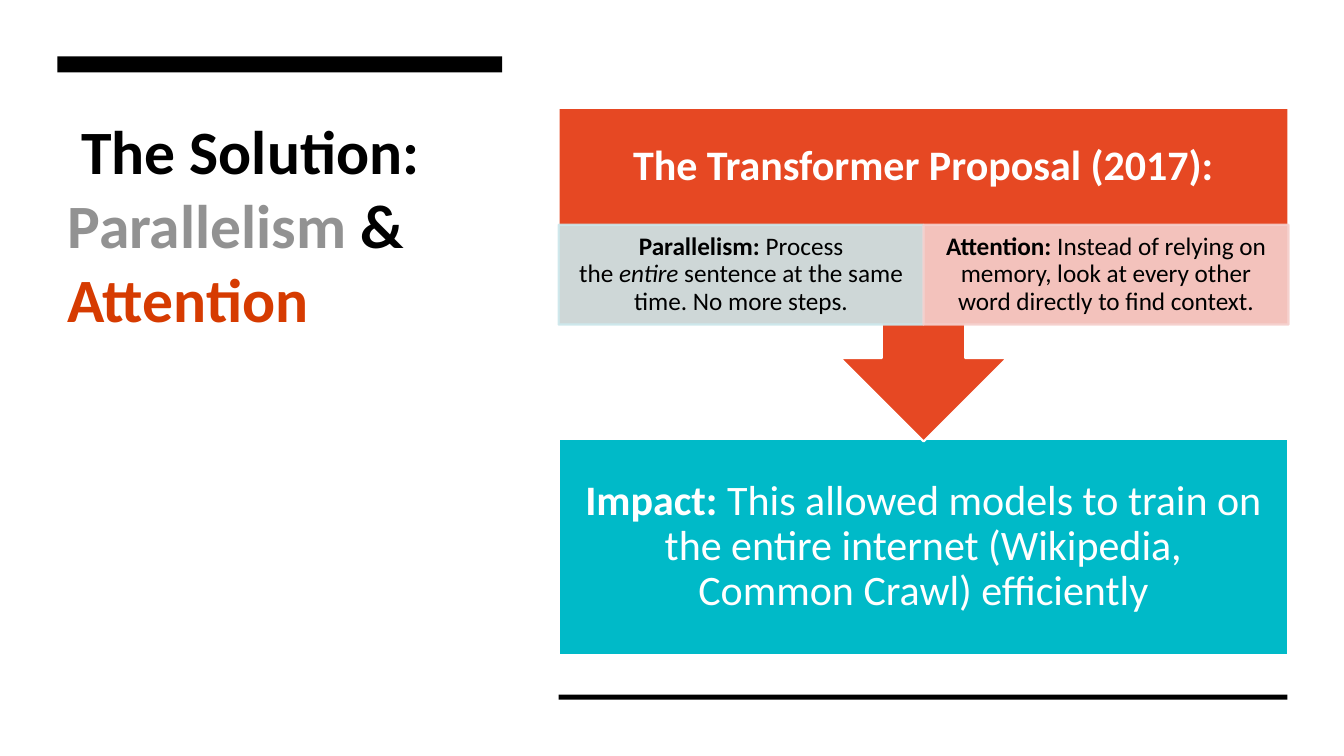
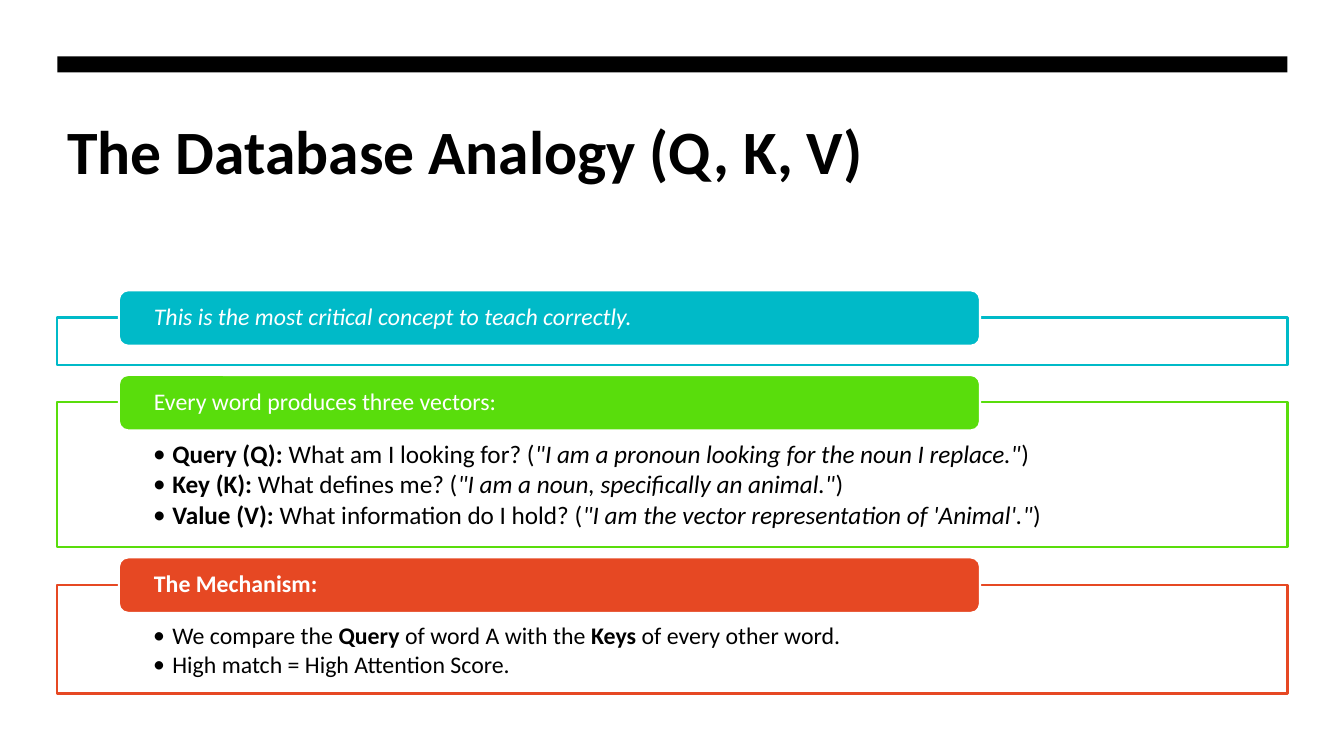
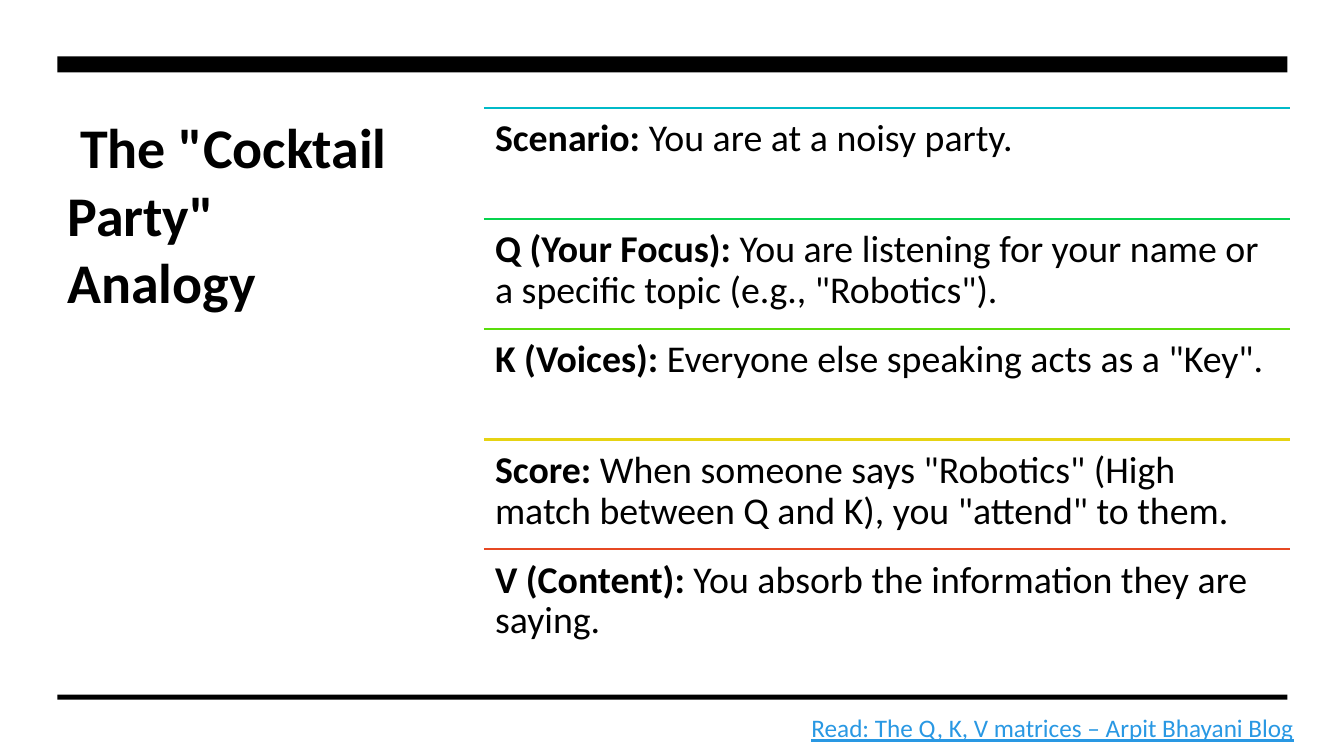
from lxml.etree import SubElement
from pptx import Presentation
from pptx.dml.color import RGBColor
from pptx.enum.shapes import MSO_CONNECTOR, MSO_SHAPE
from pptx.enum.text import MSO_ANCHOR, PP_ALIGN
from pptx.oxml.ns import qn
from pptx.util import Emu, Pt

FONT = "Calibri"
HARD = chr(160)
BLACK, WHITE, GREY, RUST = "000000", "FFFFFF", "929292", "D63B01"
TEAL, MINT, LIME, GOLD, RED = "00BAC8", "06D34D", "59DD0C", "E6D313", "E64823"
ICE, ROSE, BLUE = "CCE7EB", "F5D0CD", "2998E3"
LEFT, WIDE = 57, 1220
PAGE = (1333, 750)


def px(num):
    """Turn px, a hundredth of an inch each, into EMU."""
    return Emu(num * 9144)


def rgb(code):
    """Turn a hex string into a colour."""
    return RGBColor.from_string(code)


def dim(fill):
    """Make a solid fill 90 percent opaque."""
    tone = fill._xPr.find(qn("a:solidFill"))[0]
    SubElement(tone, qn("a:alpha"), val="90000")


def mark(para):
    """Give a paragraph a hanging bullet."""
    props = para._p.get_or_add_pPr()
    props.set("marL", str(px(19)))
    props.set("indent", str(px(-19)))
    SubElement(props, qn("a:buFont"), typeface=FONT)
    SubElement(props, qn("a:buChar"), char="•")


def glue(text):
    """Make the spaces at the ends of a run non-breaking."""
    head = HARD if text.startswith(" ") else ""
    tail = HARD if text.endswith(" ") else ""
    return head + text.strip(" ") + tail


def write(shape, paras, size, tone=BLACK, pad=(10, 5, 10, 5), mid=False,
          align=PP_ALIGN.LEFT, lead=0.9, dots=False, bold=None, tie=True):
    """Fill a shape with paragraphs of plain strings and (text, style) pairs."""
    frame = shape.text_frame
    frame.word_wrap = True
    frame.vertical_anchor = MSO_ANCHOR.MIDDLE if mid else MSO_ANCHOR.TOP
    frame.margin_left, frame.margin_top, frame.margin_right, frame.margin_bottom = map(px, pad)
    for num, parts in enumerate(paras):
        para = frame.add_paragraph() if num else frame.paragraphs[0]
        para.alignment = align
        para.line_spacing = lead
        if num:
            para.space_before = Pt(2.5)
        if dots:
            mark(para)
        font = para.font
        font.name, font.size, font.bold = FONT, Pt(size), bold
        font.color.rgb = rgb(tone)
        for part in parts:
            text, style = (part, None) if isinstance(part, str) else part
            run = para.add_run()
            run.text = glue(text) if tie else text
            if style in ("bold", "italic"):
                setattr(run.font, style, True)
            elif style:
                run.font.color.rgb = rgb(style)


def label(slide, box, paras, size, **look):
    """Add a text box."""
    shape = slide.shapes.add_textbox(*map(px, box))
    write(shape, paras, size, **look)
    return shape


def block(slide, kind, box, fill, edge=None, sheer=False):
    """Add a filled shape, outlined if an edge colour is given."""
    shape = slide.shapes.add_shape(kind, *map(px, box))
    shape.shadow.inherit = False
    shape.fill.solid()
    shape.fill.fore_color.rgb = rgb(fill)
    if edge:
        shape.line.color.rgb = rgb(edge)
        shape.line.width = Pt(1.5)
    else:
        shape.line.fill.background()
    if sheer:
        dim(shape.fill)
        dim(shape.line.fill)
    return shape


def rule(slide, left, top, wide, tone):
    """Draw a thin level line."""
    line = slide.shapes.add_connector(
        MSO_CONNECTOR.STRAIGHT, px(left), px(top), px(left + wide), px(top))
    line.line.color.rgb = rgb(tone)
    line.line.width = Pt(1.5)
    SubElement(line._element.spPr, qn("a:effectLst"))


def base(slide, left):
    """Draw the foot bar from left to the right margin."""
    block(slide, MSO_SHAPE.RECTANGLE, (left, 689, LEFT + WIDE - left, 5), BLACK)


def start(deck, parts, box, size=44, bar=WIDE):
    """Add a slide with its backdrop, top bar and title."""
    slide = deck.slides.add_slide(deck.slide_layouts[6])
    block(slide, MSO_SHAPE.RECTANGLE, (0, 0, *PAGE), WHITE)
    label(slide, (LEFT, 107, *box), [parts], size, lead=1.0, bold=True, tie=False)
    block(slide, MSO_SHAPE.RECTANGLE, (LEFT, 56, bar, 16), BLACK)
    return slide


def panel(slide, top, high, tone, head, items, size):
    """Add an outlined panel with a coloured tab on its top edge."""
    frame = block(slide, MSO_SHAPE.RECTANGLE, (LEFT, top, WIDE, high), WHITE, tone)
    if items:
        write(frame, items, size, pad=(95, 39, 95, 13), dots=True)
    tab = block(slide, MSO_SHAPE.ROUNDED_RECTANGLE, (118, top - 27, 854, 55), tone, WHITE)
    write(tab, [[head]], 17, WHITE, (32, 0, 32, 0), mid=True)


def solve(deck):
    """Build the solution slide."""
    slide = start(deck, [f"{HARD}The Solution: ", ("Parallelism", GREY), " & ",
                         ("Attention", RUST)], (441, 368), bar=441)
    left, wide = 554, 724
    half = wide // 2
    base(slide, left)
    mid = {"mid": True, "align": PP_ALIGN.CENTER}
    goal = block(slide, MSO_SHAPE.RECTANGLE, (left, 435, wide, 215), TEAL, WHITE)
    write(goal, [[("Impact:", "bold"), " This allowed models to train on the entire internet "
                  "(Wikipedia, Common Crawl) efficiently"]], 30, WHITE, (25, 23, 25, 23), **mid)
    call = block(slide, MSO_SHAPE.DOWN_ARROW_CALLOUT, (left, 107, wide, 331), RED, WHITE)
    write(call, [["The Transformer Proposal (2017):"]], 30, WHITE, (23, 23, 23, 120),
          bold=True, **mid)
    ideas = [
        (ICE, [("Parallelism:", "bold"), " Process the ", ("entire", "italic"),
               " sentence at the same time. No more steps."]),
        (ROSE, [("Attention:", "bold"), " Instead of relying on memory, look at every other "
                "word directly to find context."]),
    ]
    for num, (tone, parts) in enumerate(ideas):
        box = (left + num * half, 223, half, 99)
        cell = block(slide, MSO_SHAPE.RECTANGLE, box, tone, tone, sheer=True)
        write(cell, [parts], 18, pad=(14, 3, 14, 3), **mid)


def store(deck):
    """Build the database slide."""
    slide = start(deck, ["The Database Analogy (Q, K, V)"], (WIDE, 160))
    asks = [
        ("Query (Q):", " What am I looking for? (",
         '"I am a pronoun looking for the noun I replace."'),
        ("Key (K):", " What defines me? (", '"I am a noun, specifically an animal."'),
        ("Value (V):", " What information do I hold? (",
         '"I am the vector representation of \'Animal\'."'),
    ]
    trio = [[(name, "bold"), ask, (quote, "italic"), ")"] for name, ask, quote in asks]
    steps = [
        ["We compare the ", ("Query", "bold"), " of word A with the ", ("Keys", "bold"),
         " of every other word."],
        ["High match = High Attention Score."],
    ]
    panels = [
        (47, TEAL, ("This is the most critical concept to teach correctly.", "italic"), [], 17),
        (144, LIME, "Every word produces three vectors:", trio, 18),
        (108, RED, ("The Mechanism:", "bold"), steps, 17),
    ]
    top = 315
    for high, *rest in panels:
        panel(slide, top, high, *rest)
        top += high + 37


def party(deck):
    """Build the cocktail party slide."""
    slide = start(deck, [f'{HARD}The "Cocktail Party" Analogy'], (345, 445), size=40)
    base(slide, LEFT)
    rows = [
        (TEAL, "Scenario:", " You are at a noisy party."),
        (MINT, "Q (Your Focus):",
         ' You are listening for your name or a specific topic (e.g., "Robotics").'),
        (LIME, "K (Voices):", ' Everyone else speaking acts as a "Key".'),
        (GOLD, "Score:",
         ' When someone says "Robotics" (High match between Q and K), you "attend" to them.'),
        (RED, "V (Content):", " You absorb the information they are saying."),
    ]
    for num, (tone, name, text) in enumerate(rows):
        top = 107 + (num * 219 + 1) // 2
        rule(slide, 480, top, 799, tone)
        label(slide, (480, top, 799, 110), [[(name, "bold"), text]], 27, pad=(11, 11, 11, 11))
    link = label(slide, (795, 702, 554, 40),
                 [["Read: The Q, K, V matrices – Arpit Bhayani Blog"]], 18, tone=BLUE, lead=1.0)
    link.text_frame.paragraphs[0].font.underline = True


def main():
    """Build and save the deck."""
    deck = Presentation()
    deck.slide_width, deck.slide_height = map(px, PAGE)
    solve(deck)
    store(deck)
    party(deck)
    deck.save("out.pptx")


if __name__ == "__main__":
    main()
